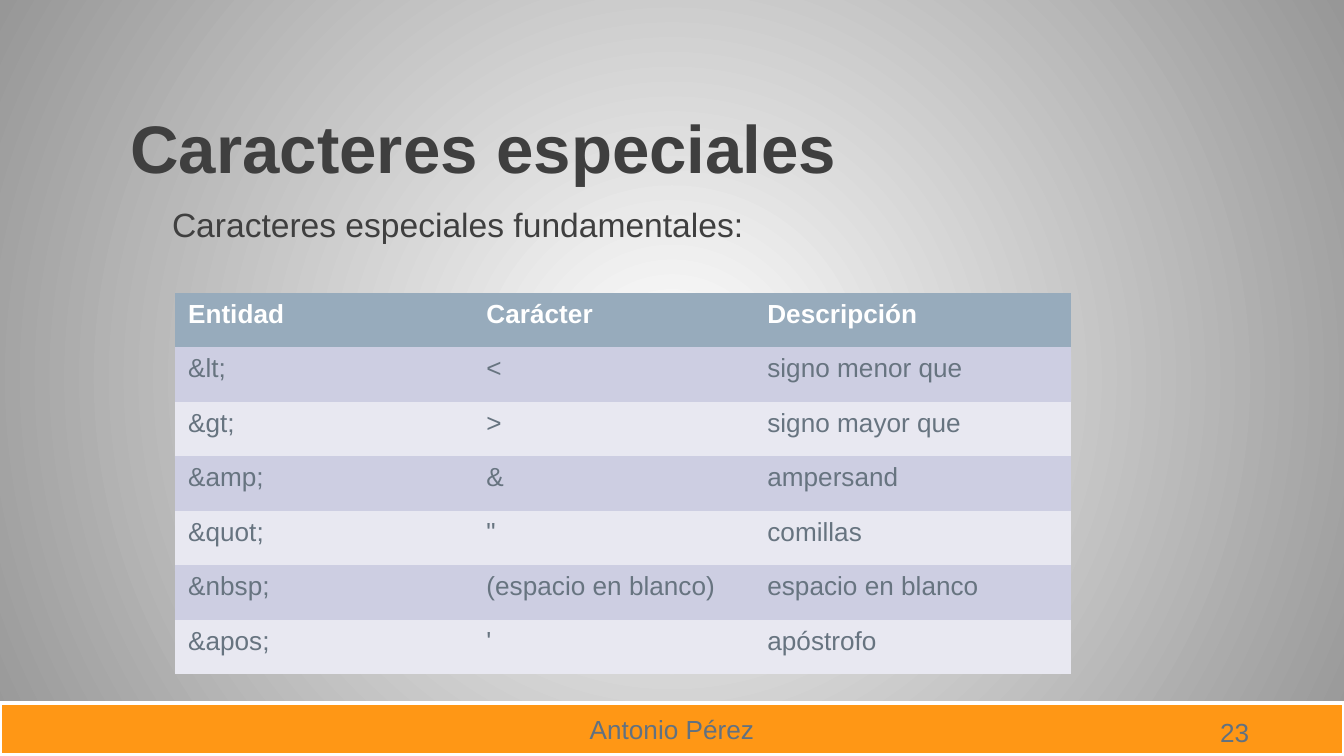
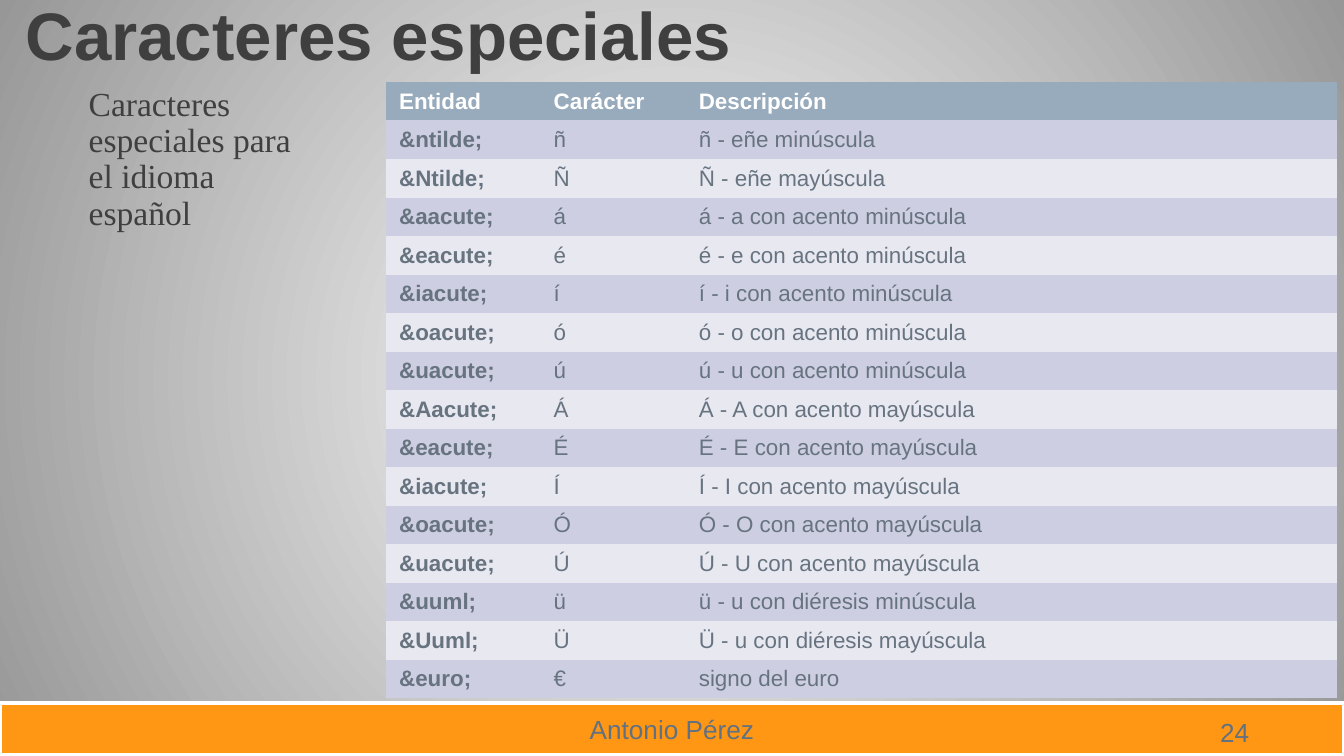
from dataclasses import dataclass

from lxml.etree import SubElement
from pptx import Presentation
from pptx.dml.color import RGBColor
from pptx.enum.shapes import MSO_SHAPE
from pptx.enum.text import MSO_ANCHOR, PP_ALIGN
from pptx.oxml.ns import qn
from pptx.slide import Slide, SlideMaster
from pptx.text.text import TextFrame
from pptx.util import Inches, Pt


@dataclass(frozen=True)
class Theme:
    sans: str = "Arial"
    serif: str = "Times New Roman"
    white: str = "FFFFFF"
    edge: str = "979797"
    band: str = "FF9715"
    foot: str = "617181"
    dark: str = "3F3F3F"
    cell: str = "677480"
    head: str = "97ABBC"
    odd: str = "CDCEE2"
    even: str = "E8E8F1"
    title_size: int = 36
    body_size: int = 18
    foot_size: int = 14


@dataclass(frozen=True)
class Box:
    left: float
    top: float
    width: float
    height: float

    def emu(self) -> tuple[Inches, Inches, Inches, Inches]:
        return (Inches(self.left), Inches(self.top),
                Inches(self.width), Inches(self.height))


@dataclass(frozen=True)
class Grid:
    box: Box
    cols: tuple[float, ...]
    rows: list[tuple[str, str, str]]
    size: int
    bold_key: bool = False


@dataclass(frozen=True)
class Page:
    number: int
    title: Box
    intro: str
    intro_box: Box
    intro_font: str
    grid: Grid


THEME = Theme()
NO_GRID = "{2D5ABB26-0587-4C30-8999-92F81FD0307C}"
HEAD = ("Entidad", "Carácter", "Descripción")

BASIC = [
    ("&lt;", "<", "signo menor que"),
    ("&gt;", ">", "signo mayor que"),
    ("&amp;", "&", "ampersand"),
    ("&quot;", '"', "comillas"),
    ("&nbsp;", "(espacio en blanco)", "espacio en blanco"),
    ("&apos;", "'", "apóstrofo"),
]

SPANISH = [
    ("&ntilde;", "ñ", "ñ - eñe minúscula"),
    ("&Ntilde;", "Ñ", "Ñ - eñe mayúscula"),
    ("&aacute;", "á", "á - a con acento minúscula"),
    ("&eacute;", "é", "é - e con acento minúscula"),
    ("&iacute;", "í", "í - i con acento minúscula"),
    ("&oacute;", "ó", "ó - o con acento minúscula"),
    ("&uacute;", "ú", "ú - u con acento minúscula"),
    ("&Aacute;", "Á", "Á - A con acento mayúscula"),
    ("&eacute;", "É", "É - E con acento mayúscula"),
    ("&iacute;", "Í", "Í - I con acento mayúscula"),
    ("&oacute;", "Ó", "Ó - O con acento mayúscula"),
    ("&uacute;", "Ú", "Ú - U con acento mayúscula"),
    ("&uuml;", "ü", "ü - u con diéresis minúscula"),
    ("&Uuml;", "Ü", "Ü - u con diéresis mayúscula"),
    ("&euro;", "€", "signo del euro"),
]

PAGES = [
    Page(23, Box(0.9, 0.24, 8.25, 1.19),
         "Caracteres especiales fundamentales:",
         Box(0.9, 1.51, 8.25, 3.3), THEME.sans,
         Grid(Box(1.3, 2.18, 6.67, 2.84), (2.22, 2.09, 2.36), BASIC, 14)),
    Page(24, Box(0.12, 0.06, 8.25, 0.53),
         "Caracteres especiales para el idioma español",
         Box(0.28, 0.61, 1.89, 0.53), THEME.serif,
         Grid(Box(2.87, 0.61, 7.08, 4.59), (1.15, 1.08, 4.85), SPANISH, 12,
              bold_key=True)),
]


def write(frame: TextFrame, text: str, *, size: int, color: str,
          font: str = THEME.sans, bold: bool = False,
          align: PP_ALIGN = PP_ALIGN.LEFT, spacing: float = 1.0,
          indent: float = 0) -> None:
    para = frame.paragraphs[0]
    para.alignment = align
    para.line_spacing = spacing
    if indent:
        para._p.get_or_add_pPr().set("marL", str(Inches(indent)))
    run = para.add_run()
    run.text = text
    run.font.size = Pt(size)
    run.font.name = font
    run.font.bold = bold
    run.font.color.rgb = RGBColor.from_string(color)


def add_box(slide: Slide, box: Box, side: float = 0.1, edge: float = 0.05,
            anchor: MSO_ANCHOR = MSO_ANCHOR.TOP) -> TextFrame:
    """Add a wrapping text box with the given side and top/bottom insets."""
    frame = slide.shapes.add_textbox(*box.emu()).text_frame
    frame.word_wrap = True
    frame.vertical_anchor = anchor
    frame.margin_left = frame.margin_right = Inches(side)
    frame.margin_top = frame.margin_bottom = Inches(edge)
    return frame


def paint_back(master: SlideMaster) -> None:
    """Give every slide a round gradient, light in the middle."""
    fill = master.background.fill
    fill.gradient()
    for stop, color in zip(fill.gradient_stops, (THEME.white, THEME.edge)):
        stop.color.rgb = RGBColor.from_string(color)
    grad = master._element.find(".//" + qn("p:bgPr")).find(qn("a:gradFill"))
    grad.remove(grad.find(qn("a:lin")))
    circle = SubElement(grad, qn("a:path"), {"path": "circle"})
    SubElement(circle, qn("a:fillToRect"),
               {side: "50000" for side in "ltrb"})


def add_foot(slide: Slide, number: int) -> None:
    band = slide.shapes.add_shape(MSO_SHAPE.RECTANGLE,
                                  *Box(0, 5.23, 10, 0.39).emu())
    band.shadow.inherit = False
    band.fill.solid()
    band.fill.fore_color.rgb = RGBColor.from_string(THEME.band)
    band.line.color.rgb = RGBColor.from_string(THEME.white)
    band.line.width = Pt(2)
    band.text_frame.vertical_anchor = MSO_ANCHOR.MIDDLE
    write(band.text_frame, "Antonio Pérez", size=THEME.foot_size,
          color=THEME.foot, align=PP_ALIGN.CENTER)
    write(add_box(slide, Box(8.98, 5.28, 0.6, 0.34)), str(number),
          size=THEME.foot_size, color=THEME.foot)


def add_grid(slide: Slide, grid: Grid) -> None:
    rows = [HEAD, *grid.rows]
    table = slide.shapes.add_table(len(rows), len(HEAD),
                                   *grid.box.emu()).table
    table._tbl.tblPr.find(qn("a:tableStyleId")).text = NO_GRID
    table.horz_banding = False
    for col, width in zip(table.columns, grid.cols):
        col.width = Inches(width)
    for r, row in enumerate(rows):
        back = THEME.odd if r % 2 else THEME.even
        for c, text in enumerate(row):
            cell = table.cell(r, c)
            cell.margin_bottom = Inches(0.03)
            cell.fill.solid()
            cell.fill.fore_color.rgb = RGBColor.from_string(
                back if r else THEME.head)
            write(cell.text_frame, text, size=grid.size,
                  color=THEME.cell if r else THEME.white,
                  bold=r == 0 or (grid.bold_key and c == 0))


def add_page(deck: Presentation, page: Page) -> None:
    slide = deck.slides.add_slide(deck.slide_layouts[6])
    add_foot(slide, page.number)
    write(add_box(slide, page.title, 0.07, 0.04, MSO_ANCHOR.BOTTOM),
          "Caracteres especiales", size=THEME.title_size, color=THEME.dark,
          bold=True, spacing=0.85)
    write(add_box(slide, page.intro_box, 0, 0.04), page.intro,
          size=THEME.body_size, color=THEME.dark, font=page.intro_font,
          spacing=0.9, indent=0.38)
    add_grid(slide, page.grid)


def main() -> None:
    deck = Presentation()
    deck.slide_width = Inches(10)
    deck.slide_height = deck.slide_width * 9 // 16
    paint_back(deck.slide_master)
    for page in PAGES:
        add_page(deck, page)
    deck.save("out.pptx")


if __name__ == "__main__":
    main()
